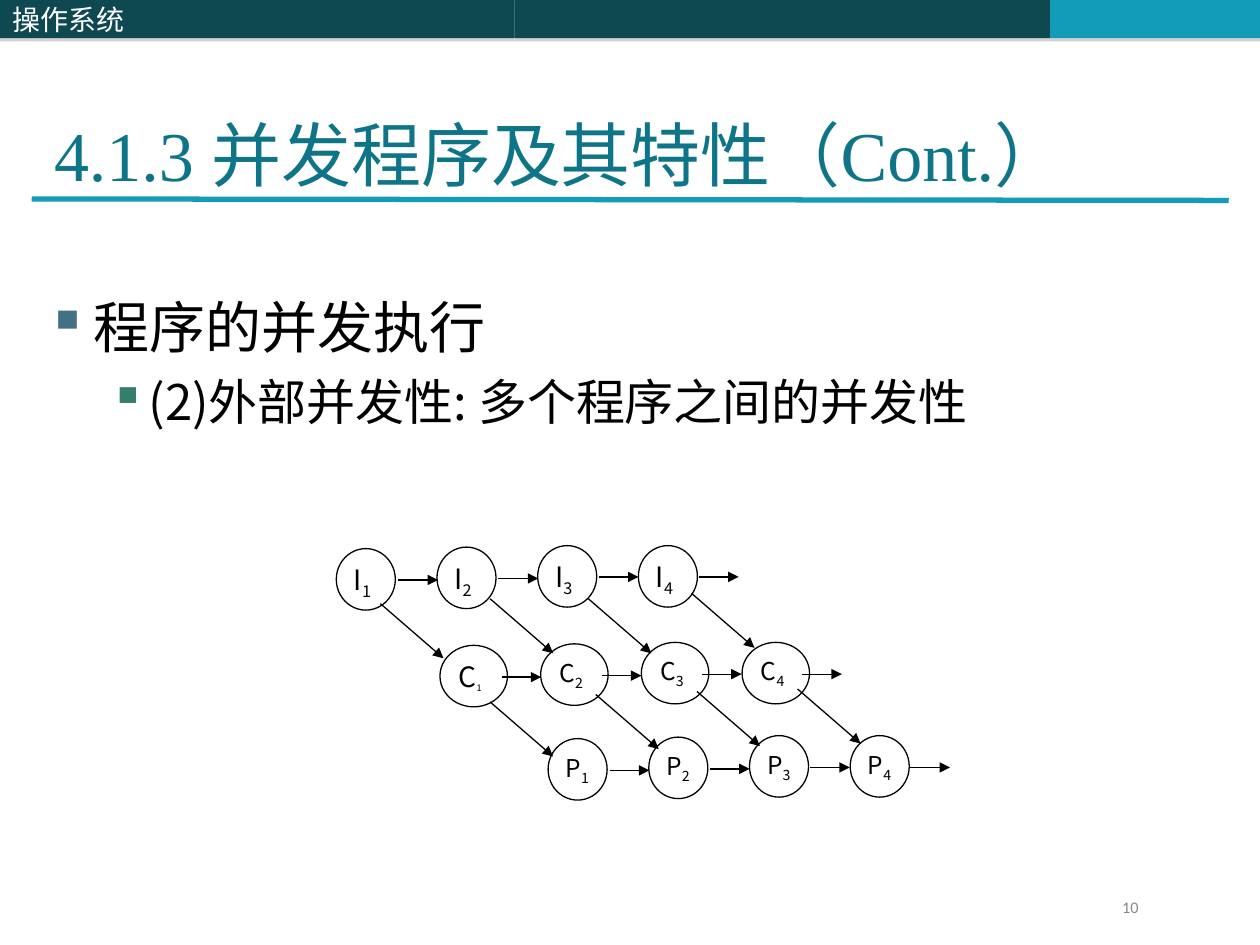
from lxml import etree
from pptx import Presentation
from pptx import util as u
from pptx.dml.color import RGBColor
from pptx.enum import shapes, text
from pptx.oxml.ns import qn

COLORS = {"dark": "0E4851", "teal": "139CB7", "title": "0E7589", "white": "FFFFFF",
          "black": "000000", "grey": "898989", "shadow": "808080",
          "bullet": "437085", "sub_bullet": "357E69"}
SANS = "Noto Sans CJK SC"


def add_run(paragraph, content, size, color, font=SANS):
    run = paragraph.add_run()
    run.text = content
    run.font.size = u.Pt(size)
    run.font.name = font
    run.font.color.rgb = RGBColor.from_string(COLORS[color])
    properties = run.font._element
    etree.SubElement(properties, qn("a:ea"), typeface=SANS)
    return properties


def add_line(x1, y1, x2, y2, color, width, arrow=True):
    connector = slide.shapes.add_connector(
        shapes.MSO_CONNECTOR.STRAIGHT, u.Cm(x1), u.Cm(y1), u.Cm(x2), u.Cm(y2))
    connector.line.color.rgb = RGBColor.from_string(COLORS[color])
    connector.line.width = u.Pt(width)
    if arrow:
        etree.SubElement(connector.line._get_or_add_ln(), qn("a:tailEnd"), type="triangle")
    etree.SubElement(connector._element.spPr, qn("a:effectLst"))


presentation = Presentation()
presentation.slide_width = u.Cm(25.4)
presentation.slide_height = u.Cm(19.05)
slide = presentation.slides.add_slide(presentation.slide_layouts[6])

for left, width, color, label in [(10.37, 10.8, "dark", ""), (21.17, 4.23, "teal", ""),
                                  (0, 10.37, "dark", "操作系统")]:
    bar = slide.shapes.add_shape(shapes.MSO_SHAPE.RECTANGLE, u.Cm(left), 0, u.Cm(width), u.Cm(0.77))
    bar.fill.solid()
    bar.fill.fore_color.rgb = RGBColor.from_string(COLORS[color])
    bar.line.fill.background()
    bar.shadow.inherit = False
    effects = bar._element.spPr.find(qn("a:effectLst"))
    shadow = etree.SubElement(effects, qn("a:outerShdw"), dist=str(u.Pt(1.8)), dir="5400000")
    tint = etree.SubElement(shadow, qn("a:srgbClr"), val=COLORS["shadow"])
    etree.SubElement(tint, qn("a:alpha"), val="35000")
    if label:
        bar.text_frame.vertical_anchor = text.MSO_ANCHOR.MIDDLE
        paragraph = bar.text_frame.paragraphs[0]
        paragraph.alignment = text.PP_ALIGN.LEFT
        add_run(paragraph, label, 16, "white")

add_line(0.64, 4.01, 24.77, 4.04, "teal", 3, arrow=False)

title = slide.shapes.add_textbox(u.Cm(0.84), u.Cm(0.76), u.Cm(24.5), u.Cm(3.18)).text_frame
title.word_wrap = True
title.vertical_anchor = text.MSO_ANCHOR.BOTTOM
title.margin_bottom = 0
add_run(title.paragraphs[0], "4.1.3 并发程序及其特性（Cont.）", 40, "title", "Times New Roman")

body = slide.shapes.add_textbox(u.Cm(0.69), u.Cm(5.89), u.Cm(24.7), u.Cm(11.43)).text_frame
body.word_wrap = True
body.margin_top = 0
for index, (content, size, indent, hanging, bullet_color) in enumerate([
        ("程序的并发执行", 32, 0.95, 0.95, "bullet"),
        ("(2)外部并发性: 多个程序之间的并发性", 28, 2.06, 0.79, "sub_bullet")]):
    paragraph = body.add_paragraph() if index else body.paragraphs[0]
    paragraph.level = index
    if index:
        paragraph.space_before = u.Pt(7)
    properties = paragraph._p.get_or_add_pPr()
    properties.set("marL", str(u.Cm(indent)))
    properties.set("indent", str(-u.Cm(hanging)))
    bullet = etree.SubElement(properties, qn("a:buClr"))
    etree.SubElement(bullet, qn("a:srgbClr"), val=COLORS[bullet_color])
    etree.SubElement(properties, qn("a:buChar"), char="▪")
    add_run(paragraph, content, size, "black")

drops = [0.06, 0.03, 0, 0]
node_rows = [("I", 6.78, 11, 1.19, 16), ("C", 8.87, 12.95, 1.36, 14), ("P", 11.05, 14.83, 1.19, 14)]
for letter, left, top, width, size in node_rows:
    for column, drop in enumerate(drops):
        node = slide.shapes.add_shape(shapes.MSO_SHAPE.OVAL, u.Cm(left + 2.03 * column),
                                      u.Cm(top + drop), u.Cm(width), u.Cm(1.24))
        node.fill.solid()
        node.fill.fore_color.rgb = RGBColor.from_string(COLORS["white"])
        node.line.color.rgb = RGBColor.from_string(COLORS["black"])
        node.line.width = u.Pt(0.75)
        node.shadow.inherit = False
        frame = node.text_frame
        frame.vertical_anchor = text.MSO_ANCHOR.TOP
        frame.margin_left = u.Cm(0.18)
        frame.margin_right = 0
        frame.margin_top = frame.margin_bottom = u.Cm(0.1)
        paragraph = frame.paragraphs[0]
        paragraph.alignment = text.PP_ALIGN.JUSTIFY
        first_c = letter == "C" and column == 0
        add_run(paragraph, letter, 16 if first_c else size, "black")
        subscript = add_run(paragraph, str(column + 1), 9 if first_c else size, "black")
        subscript.set("baseline", "-25000")

for start, y in [(8.03, 11.63), (10.11, 13.59), (12.29, 15.47)]:
    for column, drop in enumerate(drops):
        x = start + 2.02 * column
        add_line(x, y + drop, x + 0.8, y + drop, "black", 0.75)

for x, y in [(7.67, 12.17), (9.88, 12.07), (11.86, 12.07), (13.94, 11.96),
             (9.88, 14.15), (12.01, 14), (14.05, 13.94), (16.08, 13.89)]:
    add_line(x, y, x + 1.27, y + 1.1, "black", 0.75)

number = slide.shapes.add_textbox(u.Cm(19.05), u.Cm(18.03), u.Cm(5.92), u.Cm(0.69)).text_frame
number.word_wrap = True
number.margin_right = u.Cm(2.02)
number.paragraphs[0].alignment = text.PP_ALIGN.RIGHT
number.paragraphs[0].line_spacing = 0.8
add_run(number.paragraphs[0], "10", 9.3, "grey", "Calibri")

presentation.save("out.pptx")
